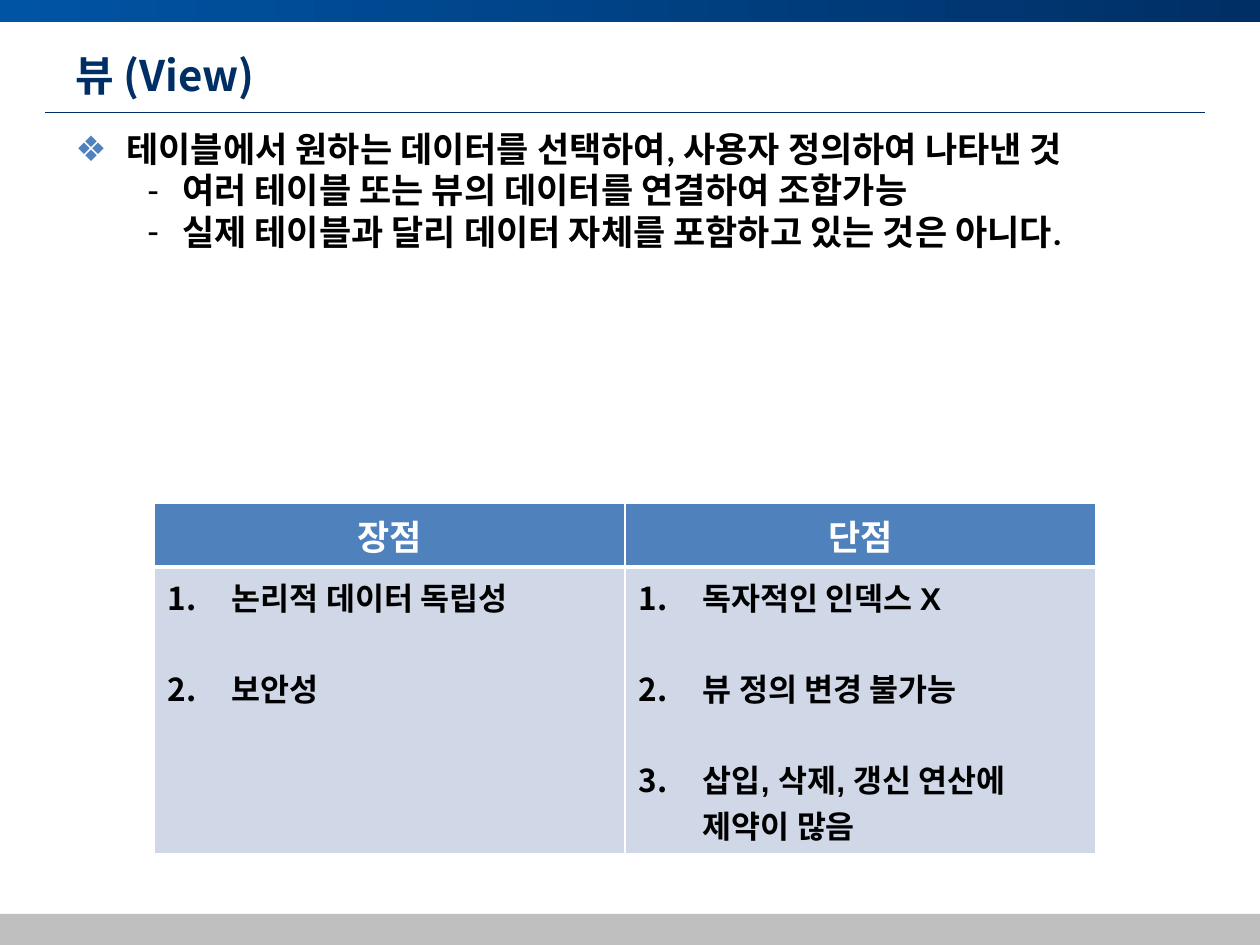
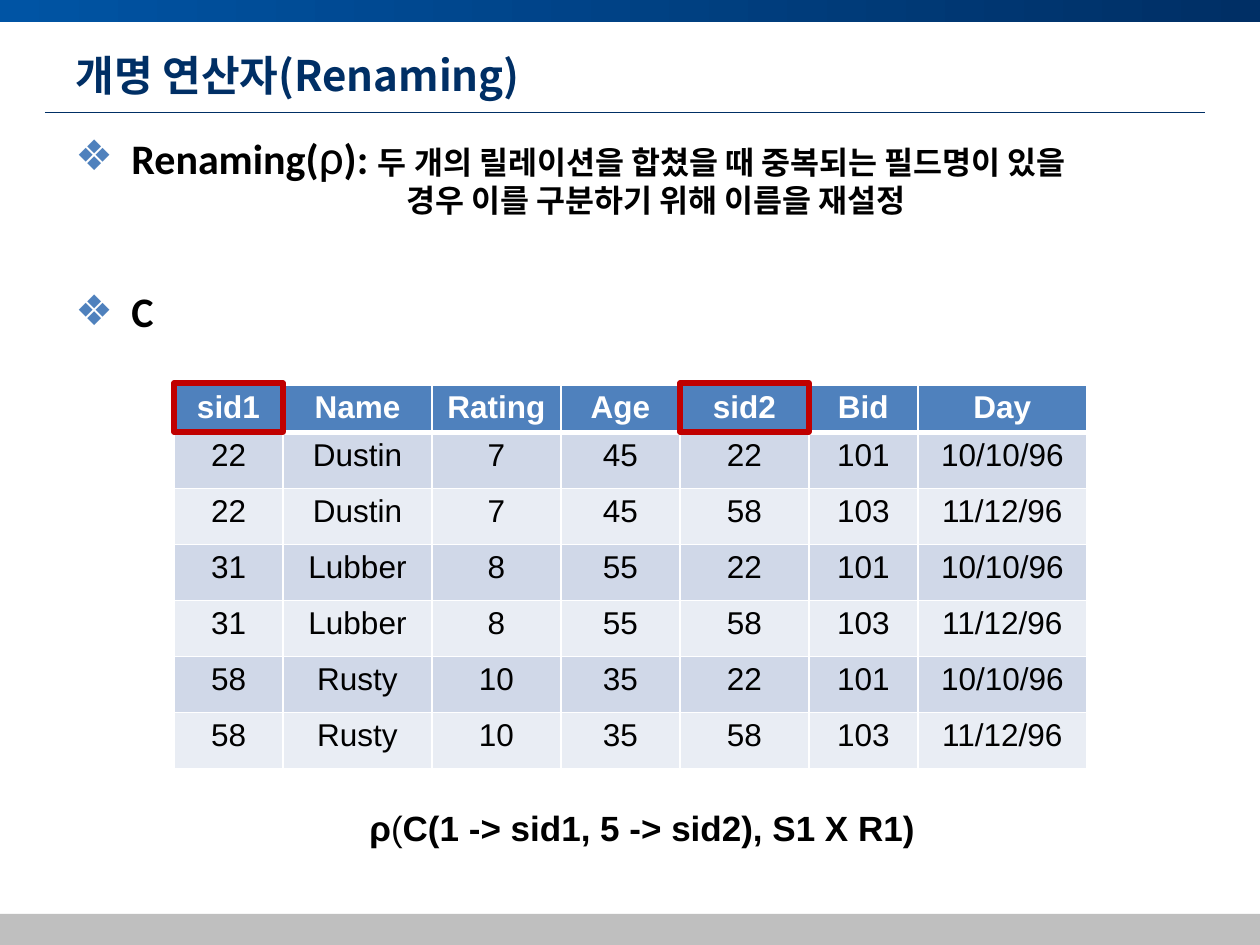
"""Builds two database lecture slides: views and the renaming operator."""
from dataclasses import dataclass
from itertools import accumulate

from lxml import etree
from pptx import Presentation
from pptx import util as u
from pptx.dml.color import RGBColor
from pptx.enum import shapes, text
from pptx.oxml.ns import qn


@dataclass(frozen=True)
class Theme:
    navy: str = "002F65"
    blue: str = "0054A4"
    footer: str = "BFBFBF"
    accent: str = "4F81BD"
    odd_row: str = "D0D8E8"
    even_row: str = "E9EDF4"
    mark: str = "C00000"
    black: str = "000000"
    white: str = "FFFFFF"
    korean: str = "Noto Sans CJK KR"
    body: str = "Calibri"
    table: str = "Arial"
    title_size: int = 24
    large: int = 28
    lead: int = 24
    normal: int = 20
    small: int = 18


THEME = Theme()
WIDTH, HEIGHT = 1260, 945
TITLE_AT = (63, 38, 1134, 73)
BODY_AT = (63, 126, 1134, 723)
BAND_AT = (0, 0, WIDTH, 22)
FOOTER_AT = (0, 914, WIDTH, 31)
RULE_AT = (45, 112, 1205, 112)

VIEW_TITLE = "뷰 (View)"
VIEW_POINTS = [
    ("❖", 51, -51, THEME.accent, "테이블에서 원하는 데이터를 선택하여, 사용자 정의하여 나타낸 것"),
    ("-", 107, -35, THEME.black, "여러 테이블 또는 뷰의 데이터를 연결하여 조합가능"),
    ("-", 107, -35, THEME.black, "실제 테이블과 달리 데이터 자체를 포함하고 있는 것은 아니다."),
]
PROS_CONS = {
    "장점": ["논리적 데이터 독립성", "보안성"],
    "단점": ["독자적인 인덱스 X", "뷰 정의 변경 불가능", "삽입, 삭제, 갱신 연산에\v제약이 많음"],
}
PROS_CONS_AT = (154, 503)
PROS_CONS_COLUMNS = [471, 471]
PROS_CONS_ROWS = [64, 287]

RENAMING_TITLE = "개명 연산자(Renaming)"
RENAMING_RUNS = [
    ("Renaming(", THEME.lead, True),
    ("ρ", THEME.large, False),
    ("): ", THEME.lead, True),
    ("두 개의 릴레이션을 합쳤을 때 중복되는 필드명이 있을", THEME.small, True),
]
RENAMING_POINTS = [
    ("❖", 56, -56, 0, RENAMING_RUNS),
    (None, 331, 0, 0, [("경우 이를 구분하기 위해 이름을 재설정", THEME.small, True)]),
    ("❖", 56, -56, 41, [("C", THEME.lead, True)]),
]
FIELDS = ["sid1", "Name", "Rating", "Age", "sid2", "Bid", "Day"]
SAILORS = [("22", "Dustin", "7", "45"), ("31", "Lubber", "8", "55"), ("58", "Rusty", "10", "35")]
RESERVES = [("22", "101", "10/10/96"), ("58", "103", "11/12/96")]
PRODUCT_AT = (174, 385)
PRODUCT_COLUMNS = [109, 149, 129, 119, 129, 109, 169]
PRODUCT_ROWS = [46] + [56] * 6
RENAMED = ["sid1", "sid2"]
FORMULA_AT = (357, 800, 620, 55)
FORMULA = [("ρ", True), ("(", False), ("C(1 -> sid1, 5 -> sid2), S1 X R1)", True)]


def px(length):
    return u.Emu(round(length * 914400 / 126))


def scaled(lengths):
    return [px(length) for length in lengths]


def rgb(colour):
    return RGBColor.from_string(colour)


def add_span(para, words, size, font, colour=THEME.black, bold=True):
    span = para.add_run()
    span.text = words
    span.font.size = u.Pt(size)
    span.font.bold = bold
    span.font.color.rgb = rgb(colour)
    span.font.name = font
    east = etree.SubElement(span.font._element, qn("a:ea"))
    east.set("typeface", THEME.korean)
    return span


def add_lines(para, words, size, font):
    first, *others = words.split("\v")
    add_span(para, first, size, font)
    for line in others:
        para.add_line_break()
        add_span(para, line, size, font)


def set_marker(para, left, indent, mark=None, colour=None):
    props = para._p.get_or_add_pPr()
    props.set("marL", str(px(left)))
    props.set("indent", str(px(indent)))
    if colour:
        fill = etree.SubElement(props, qn("a:buClr"))
        etree.SubElement(fill, qn("a:srgbClr")).set("val", colour)
    if mark is None:
        etree.SubElement(props, qn("a:buNone"))
    elif mark == "1.":
        etree.SubElement(props, qn("a:buAutoNum")).set("type", "arabicPeriod")
    else:
        etree.SubElement(props, qn("a:buFont")).set("typeface", THEME.table)
        etree.SubElement(props, qn("a:buChar")).set("char", mark)


def next_para(frame, index):
    return frame.add_paragraph() if index else frame.paragraphs[0]


def add_box(page, place):
    frame = page.shapes.add_textbox(*scaled(place)).text_frame
    frame.word_wrap = True
    return frame


def add_rect(page, place):
    rect = page.shapes.add_shape(shapes.MSO_SHAPE.RECTANGLE, *scaled(place))
    rect.shadow.inherit = False
    return rect


def add_page(deck, title):
    page = deck.slides.add_slide(deck.slide_layouts[5])
    band = add_rect(page, BAND_AT)
    band.line.fill.background()
    band.fill.gradient()
    band.fill.gradient_angle = 0
    for stop, colour, position in zip(band.fill.gradient_stops, (THEME.blue, THEME.navy), (0, 1)):
        stop.color.rgb = rgb(colour)
        stop.position = position
    footer = add_rect(page, FOOTER_AT)
    footer.line.fill.background()
    footer.fill.solid()
    footer.fill.fore_color.rgb = rgb(THEME.footer)
    rule = page.shapes.add_connector(shapes.MSO_CONNECTOR.STRAIGHT, *scaled(RULE_AT))
    rule.line.color.rgb = rgb(THEME.navy)
    rule.line.width = u.Pt(0.5)
    etree.SubElement(rule._element.spPr, qn("a:effectLst"))
    heading = page.shapes.title
    heading.left, heading.top, heading.width, heading.height = scaled(TITLE_AT)
    frame = heading.text_frame
    frame.auto_size = text.MSO_AUTO_SIZE.NONE
    frame.vertical_anchor = text.MSO_ANCHOR.MIDDLE
    para = frame.paragraphs[0]
    para.alignment = text.PP_ALIGN.LEFT
    add_span(para, title, THEME.title_size, THEME.korean, THEME.navy)
    return page


def style_cell(cell, row, margins):
    if row == 0:
        colour = THEME.accent
    else:
        colour = THEME.odd_row if row % 2 else THEME.even_row
    cell.fill.solid()
    cell.fill.fore_color.rgb = rgb(colour)
    cell.margin_left = cell.margin_right = px(margins[0])
    cell.margin_top = cell.margin_bottom = px(margins[1])
    widths = {"L": 1, "R": 1, "T": 3 if row == 1 else 1, "B": 3 if row == 0 else 1}
    props = cell._tc.get_or_add_tcPr()
    for index, (side, width) in enumerate(widths.items()):
        border = etree.Element(qn(f"a:ln{side}"), w=str(u.Pt(width)))
        fill = etree.SubElement(border, qn("a:solidFill"))
        etree.SubElement(fill, qn("a:srgbClr")).set("val", THEME.white)
        props.insert(index, border)


def add_grid(page, place, columns, rows, margins):
    size = (sum(columns), sum(rows))
    grid = page.shapes.add_table(len(rows), len(columns), *scaled(place + size)).table
    for column, width in zip(grid.columns, columns):
        column.width = px(width)
    for index, (row, height) in enumerate(zip(grid.rows, rows)):
        row.height = px(height)
        for cell in row.cells:
            style_cell(cell, index, margins)
    return grid


def write_centred(cell, words, size, header):
    para = cell.text_frame.paragraphs[0]
    para.alignment = text.PP_ALIGN.CENTER
    add_span(para, words, size, THEME.table, THEME.white if header else THEME.black, header)


def build_view(deck):
    page = add_page(deck, VIEW_TITLE)
    frame = add_box(page, BODY_AT)
    for index, (mark, left, indent, colour, words) in enumerate(VIEW_POINTS):
        para = next_para(frame, index)
        para.line_spacing = 0.9
        para.space_before = u.Pt(2 if index else 0)
        set_marker(para, left, indent, mark, colour)
        add_span(para, words, THEME.normal, THEME.body)
    grid = add_grid(page, PROS_CONS_AT, PROS_CONS_COLUMNS, PROS_CONS_ROWS, (14, 7))
    for column, (header, items) in enumerate(PROS_CONS.items()):
        write_centred(grid.cell(0, column), header, THEME.normal, True)
        frame = grid.cell(1, column).text_frame
        for index, item in enumerate(items):
            para = next_para(frame, index)
            para.space_before = u.Pt(26 if index else 0)
            set_marker(para, 64, -64, "1.")
            add_lines(para, item, THEME.small, THEME.table)


def build_renaming(deck):
    page = add_page(deck, RENAMING_TITLE)
    frame = add_box(page, BODY_AT)
    for index, (mark, left, indent, gap, runs) in enumerate(RENAMING_POINTS):
        para = next_para(frame, index)
        para.line_spacing = 0.9
        para.space_before = u.Pt(gap)
        set_marker(para, left, indent, mark, THEME.accent)
        for words, size, bold in runs:
            add_span(para, words, size, THEME.body, bold=bold)
    grid = add_grid(page, PRODUCT_AT, PRODUCT_COLUMNS, PRODUCT_ROWS, (5, 5))
    product = [sailor + reserve for sailor in SAILORS for reserve in RESERVES]
    for row, values in enumerate([FIELDS] + product):
        for column, value in enumerate(values):
            write_centred(grid.cell(row, column), value, THEME.small, row == 0)
    para = add_box(page, FORMULA_AT).paragraphs[0]
    for words, bold in FORMULA:
        add_span(para, words, THEME.normal, THEME.table, bold=bold)
    left, top = PRODUCT_AT
    lefts = list(accumulate(PRODUCT_COLUMNS, initial=left))
    for field in RENAMED:
        column = FIELDS.index(field)
        frame_mark = add_rect(page, (lefts[column], top - 2, PRODUCT_COLUMNS[column], 49))
        frame_mark.fill.background()
        frame_mark.line.color.rgb = rgb(THEME.mark)
        frame_mark.line.width = u.Pt(3)


def main():
    deck = Presentation()
    deck.slide_width, deck.slide_height = px(WIDTH), px(HEIGHT)
    build_view(deck)
    build_renaming(deck)
    deck.save("out.pptx")


if __name__ == "__main__":
    main()
